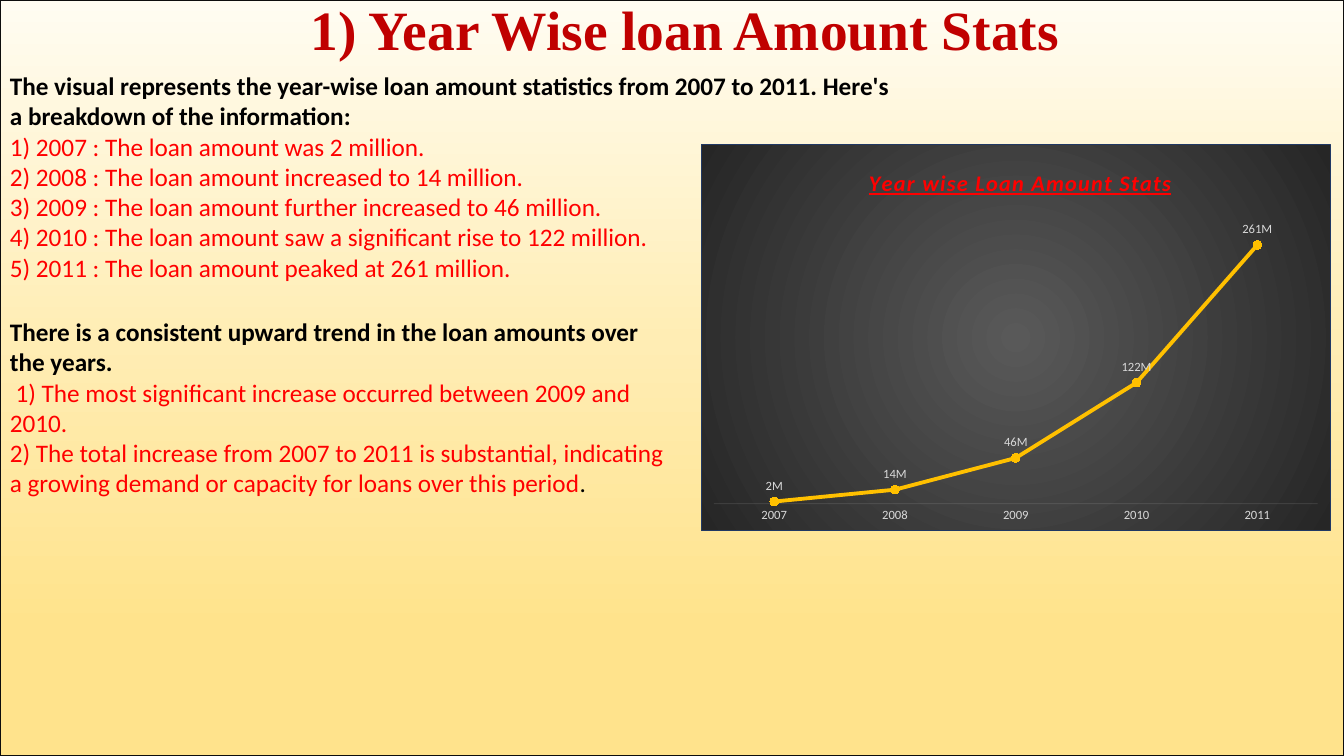
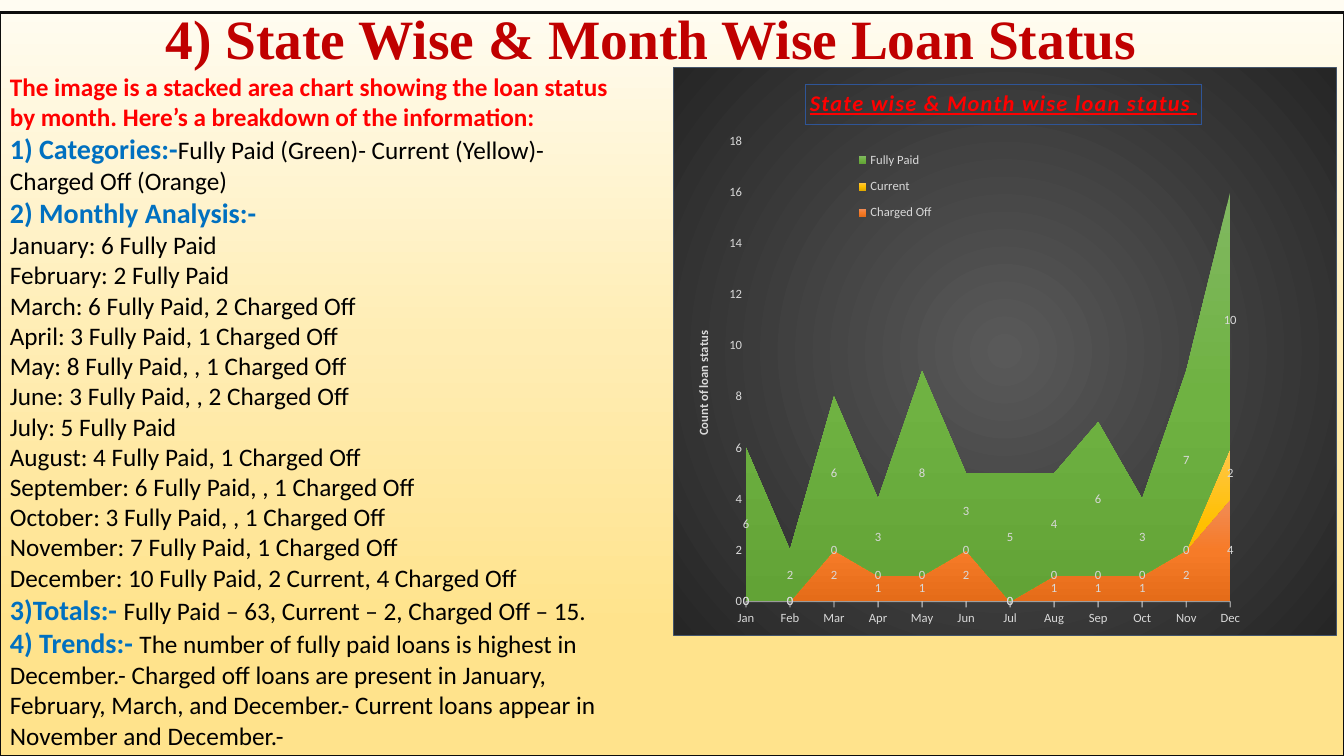
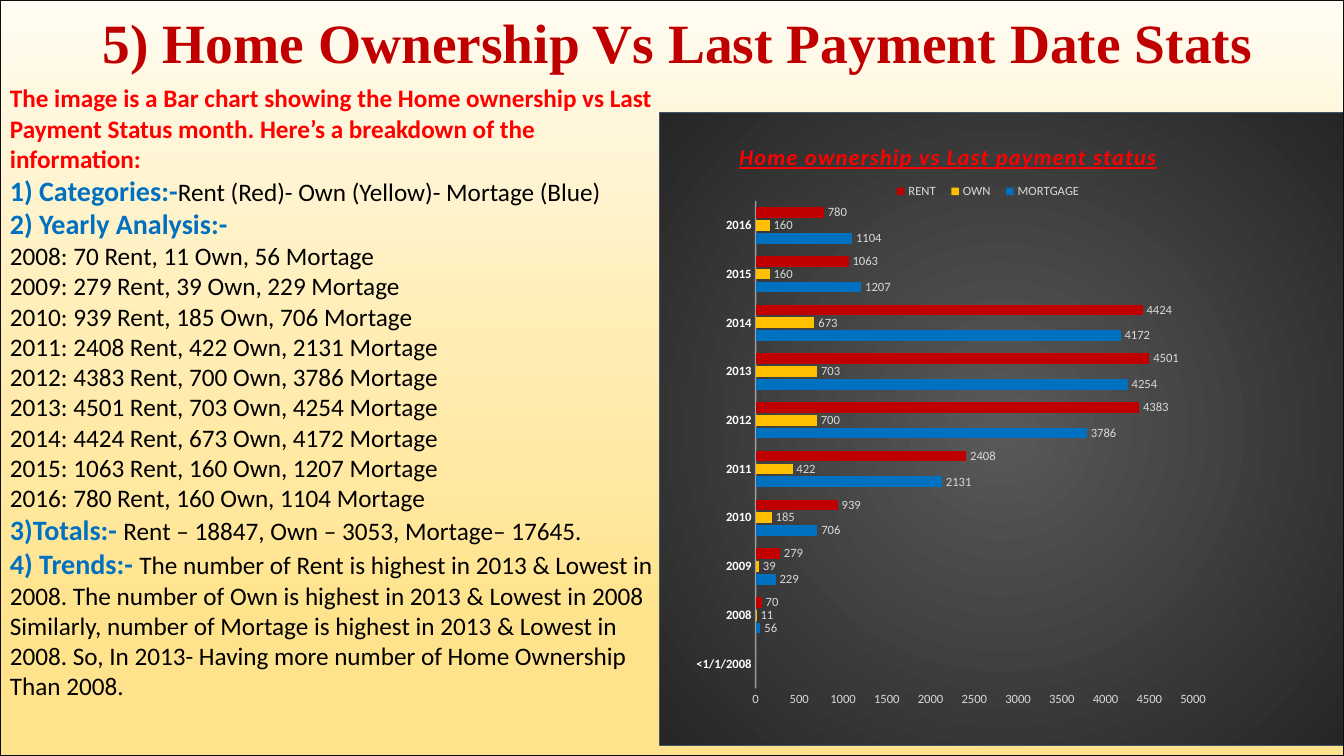
from lxml import etree
from pptx import Presentation
from pptx.chart.data import CategoryChartData
from pptx.dml.color import RGBColor
from pptx.enum import chart as kinds, shapes, text
from pptx.oxml import ns, parse_xml
from pptx.util import Inches, Pt

COLORS = {
    "title": "C00000", "red": "FF0000", "blue": "0070C0", "black": "000000",
    "frame": "0D0D0D", "pale": "D9D9D9", "white": "FFFFFF", "axis": "F2F2F2",
    "gold": "FFC000", "navy": "203864", "slate": "44546A", "outline": "2F5597",
}
BACKGROUND = [(0, "FFFCF2"), (45, "FFEDB4"), (83, "FFE38C"), (100, "FFE38C")]
CHART_FILL = [(0, "595959"), (100, "262626")]
ORANGE = [(0, "F18C57"), (50, "F67B28"), (100, "E56C19")]
YELLOW = [(0, "FFC64B"), (50, "FFC000"), (100, "E3AB00")]
GREEN = [(0, "81B861"), (50, "6FB242"), (100, "62A336")]
STYLES = {
    "lead": (18, "black", True),
    "alert": (18, "red", True),
    "item": (18, "red", False),
    "heading": (20, "blue", True),
    "body": (18, "black", False),
}
MILLIONS = '#,##0,,"M"'


def rgb(name):
    return RGBColor.from_string(COLORS[name])


def gradient(stops, circle=False):
    marks = "".join(
        f'<a:gs pos="{pos * 1000}"><a:srgbClr val="{color}"/></a:gs>' for pos, color in stops)
    shade = ('<a:path path="circle"><a:fillToRect l="50000" t="50000" r="50000" b="50000"/></a:path>'
             if circle else '<a:lin ang="5400000" scaled="0"/>')
    return parse_xml(
        f'<a:gradFill {ns.nsdecls("a")} rotWithShape="1"><a:gsLst>{marks}</a:gsLst>{shade}</a:gradFill>')


def swap_solid(parent, stops):
    solid = parent.find(".//" + ns.qn("a:solidFill"))
    solid.getparent().replace(solid, gradient(stops))


def place(element, after, x, y, w=None, h=None, inner=False):
    for old in element.findall(ns.qn("c:layout")):
        element.remove(old)
    layout = etree.Element(ns.qn("c:layout"))
    manual = etree.SubElement(layout, ns.qn("c:manualLayout"))
    values = [("layoutTarget", "inner")] if inner else []
    values += [("xMode", "edge"), ("yMode", "edge"), ("x", x), ("y", y)]
    if w is not None:
        values += [("w", w), ("h", h)]
    for tag, value in values:
        etree.SubElement(manual, ns.qn("c:" + tag)).set("val", str(value))
    if after:
        element.find(ns.qn(after)).addnext(layout)
    else:
        element.insert(0, layout)


class Deck:
    def __init__(self):
        self.deck = Presentation()
        self.deck.slide_width, self.deck.slide_height = Inches(13.33), Inches(7.5)
        master = self.deck.slide_master
        master.background.fill.solid()
        master.background.fill.fore_color.rgb = rgb("white")
        swap_solid(master.background._cSld.find(ns.qn("p:bg")), BACKGROUND)
        self.page = None

    def style(self, font, size, color, bold=False, name="Calibri"):
        font.size, font.bold, font.name = Pt(size), bold, name
        font.color.rgb = rgb(color)

    def span(self, para, words, *style):
        run = para.add_run()
        run.text = words
        self.style(run.font, *style)
        return run

    def title(self, words, left, width, height, align=text.PP_ALIGN.LEFT):
        self.page = self.deck.slides.add_slide(self.deck.slide_layouts[5])
        box = self.page.shapes.title
        box.left, box.top = Inches(left), Inches(0)
        box.width, box.height = Inches(width), Inches(height)
        frame = box.text_frame
        frame.auto_size = text.MSO_AUTO_SIZE.NONE
        frame.vertical_anchor = text.MSO_ANCHOR.MIDDLE
        para = frame.paragraphs[0]
        para.alignment, para.line_spacing = align, 0.9
        self.span(para, words, 39.6, "title", True, "Times New Roman")

    def copy(self, top, width, height, paragraphs):
        box = self.page.shapes.add_textbox(Inches(0), Inches(top), Inches(width), Inches(height))
        frame = box.text_frame
        frame.word_wrap = True
        for index, spans in enumerate(paragraphs):
            para = frame.add_paragraph() if index else frame.paragraphs[0]
            for style, words in spans:
                self.span(para, words, *STYLES[style])

    def frame(self, top=0):
        box = self.page.shapes.add_shape(
            shapes.MSO_SHAPE.RECTANGLE, Inches(0), Inches(top), Inches(13.33), Inches(7.5 - top))
        box.shadow.inherit = False
        box.fill.background()
        box.line.color.rgb, box.line.width = rgb("frame"), Pt(2)

    def chart(self, kind, bounds, categories, series, title, title_at, plot, border):
        data = CategoryChartData()
        data.categories = categories
        for name, values in series:
            data.add_series(name, values)
        chart = self.page.shapes.add_chart(kind, *map(Inches, bounds), data).chart
        self.style(chart.font, 10, "black")
        chart.has_legend = False
        chart.has_title = True
        para = chart.chart_title.text_frame.paragraphs[0]
        run = self.span(para, title, 16, "red", True)
        run.font.italic = run.font.underline = True
        run.font._rPr.set("spc", "100")
        place(chart.chart_title._element, "c:tx", *title_at)
        space = chart._chartSpace
        place(space.chart.plotArea, None, *plot, inner=True)
        panel = parse_xml(
            f'<c:spPr {ns.nsdecls("c", "a")}><a:ln w="9525"><a:solidFill>'
            f'<a:srgbClr val="{COLORS[border]}"/></a:solidFill></a:ln></c:spPr>')
        panel.insert(0, gradient(CHART_FILL, circle=True))
        space.chart.addnext(panel)
        chart.plots[0].vary_by_categories = False
        return chart

    def axes(self, chart, width, opacity, tick=kinds.XL_TICK_MARK.NONE, color="pale", bold=False):
        across, up = chart.category_axis, chart.value_axis
        for axis in (across, up):
            axis.has_major_gridlines = axis.has_minor_gridlines = False
            axis.major_tick_mark = axis.minor_tick_mark = kinds.XL_TICK_MARK.NONE
            self.style(axis.tick_labels.font, 9, "pale")
        self.style(across.tick_labels.font, 9, color, bold)
        across.major_tick_mark = tick
        line = across.format.line
        line.color.rgb, line.width = rgb("axis"), Pt(width)
        tint = across._element.find(ns.qn("c:spPr")).find(".//" + ns.qn("a:srgbClr"))
        etree.SubElement(tint, ns.qn("a:alpha")).set("val", str(opacity * 1000))
        up.format.line.fill.background()

    def labels(self, series, position=None, number_format=None):
        labels = series.data_labels
        labels.show_value = True
        self.style(labels.font, 9, "pale")
        if position is not None:
            labels.position = position
        if number_format:
            labels.number_format, labels.number_format_is_linked = number_format, False

    def legend(self, chart, *layout):
        chart.has_legend = True
        legend = chart.legend
        legend.position = kinds.XL_LEGEND_POSITION.RIGHT
        legend.include_in_layout = False
        self.style(legend.font, 9, "pale")
        place(legend._element, "c:legendPos", *layout)


def yearly_page(deck):
    deck.title("1) Year Wise loan Amount Stats", 2.08, 9.43, 0.65, text.PP_ALIGN.CENTER)
    deck.copy(0.65, 9.09, 2.22, [
        [("lead", "The visual represents the year-wise loan amount statistics from 2007 to 2011. "
                  "Here's a breakdown of the information:")],
        [("item", "1) 2007 : The loan amount was 2 million.")],
        [("item", "2) 2008 : The loan amount increased to 14 million.")],
        [("item", "3) 2009 : The loan amount further increased to 46 million.")],
        [("item", "4) 2010 : The loan amount saw a significant rise to 122 million.")],
        [("item", "5) 2011 : The loan amount peaked at 261 million.")],
    ])
    deck.copy(3.09, 6.7, 1.92, [
        [("lead", "There is a consistent upward trend in the loan amounts over the years.")],
        [("body", " "),
         ("item", "1) The most significant increase occurred between 2009 and 2010.")],
        [("item", "2) The total increase from 2007 to 2011 is substantial, indicating a growing "
                  "demand or capacity for loans over this period"), ("body", ".")],
    ])
    amounts = [millions * 1_000_000 for millions in (2, 14, 46, 122, 261)]
    chart = deck.chart(
        kinds.XL_CHART_TYPE.LINE_MARKERS, (6.95, 1.43, 6.25, 3.84),
        [str(year) for year in range(2007, 2012)], [("Series 1", amounts)],
        "Year wise Loan Amount Stats", (0.26, 0.05), (0.02, 0.16, 0.96, 0.77), "navy")
    deck.axes(chart, 0.75, 10)
    chart.value_axis.visible = False
    chart.value_axis.minimum_scale, chart.value_axis.maximum_scale = 0, 300_000_000
    loans = chart.plots[0].series[0]
    loans.smooth = False
    loans.format.line.color.rgb, loans.format.line.width = rgb("gold"), Pt(2.75)
    marker = loans.marker
    marker.style, marker.size = kinds.XL_MARKER_STYLE.CIRCLE, 6
    marker.format.fill.solid()
    marker.format.fill.fore_color.rgb = rgb("gold")
    marker.format.line.color.rgb = rgb("gold")
    deck.labels(loans, kinds.XL_LABEL_POSITION.ABOVE, MILLIONS)
    deck.frame()


def monthly_page(deck):
    deck.title("4) State Wise & Month Wise Loan Status", 1.54, 10.18, 0.83)
    months = [
        "January: 6 Fully Paid", "February: 2 Fully Paid",
        "March: 6 Fully Paid, 2 Charged Off", "April: 3 Fully Paid, 1 Charged Off",
        "May: 8 Fully Paid, , 1 Charged Off", "June: 3 Fully Paid, , 2 Charged Off",
        "July: 5 Fully Paid", "August: 4 Fully Paid, 1 Charged Off",
        "September: 6 Fully Paid, , 1 Charged Off", "October: 3 Fully Paid, , 1 Charged Off",
        "November: 7 Fully Paid, 1 Charged Off",
        "December: 10 Fully Paid, 2 Current, 4 Charged Off",
    ]
    deck.copy(0.66, 6.15, 6.9, [
        [("alert", "The image is a stacked area chart showing the loan status by month. "
                   "Here’s a breakdown of the information:")],
        [("heading", "1) Categories:-"),
         ("body", "Fully Paid (Green)- Current (Yellow)- Charged Off (Orange)")],
        [("heading", "2) Monthly Analysis:-")],
        *[[("body", month)] for month in months],
        [("heading", "3)Totals:- "),
         ("body", "Fully Paid – 63, Current – 2, Charged Off – 15.")],
        [("heading", "4) Trends:- "),
         ("body", "The number of fully paid loans is highest in December.- Charged off loans are "
                  "present in January, February, March, and December.- Current loans appear in "
                  "November and December.-")],
    ])
    chart = deck.chart(
        kinds.XL_CHART_TYPE.AREA_STACKED, (6.67, 0.66, 6.59, 5.65),
        [month[:3] for month in months],
        [("Charged Off", [None, None, 2, 1, 1, 2, None, 1, 1, 1, 2, 4]),
         ("Current", [None] * 11 + [2]),
         ("Fully Paid", [6, 2, 6, 3, 8, 3, 5, 4, 6, 3, 7, 10])],
        "State wise & Month wise loan status ", (0.2, 0.03), (0.11, 0.13, 0.73, 0.81), "slate")
    chart.chart_title.format.line.color.rgb = rgb("outline")
    deck.axes(chart, 1, 54, kinds.XL_TICK_MARK.OUTSIDE)
    axis = chart.value_axis
    axis.minimum_scale, axis.maximum_scale, axis.major_unit = 0, 18, 2
    axis.has_title = True
    frame = axis.axis_title.text_frame
    frame._txBody.bodyPr.set("rot", "-5400000")
    frame._txBody.bodyPr.set("vert", "horz")
    deck.span(frame.paragraphs[0], "Count of loan status", 9, "pale", True)
    place(axis.axis_title._element, "c:tx", 0.03, 0.46)
    for tag, value in (("c:dispBlanksAs", "zero"), ("c:crossBetween", "midCat")):
        for setting in chart._chartSpace.iter(ns.qn(tag)):
            setting.set("val", value)
    for series, stops in zip(chart.plots[0].series, (ORANGE, YELLOW, GREEN)):
        series.format.fill.solid()
        series.format.fill.fore_color.rgb = rgb("white")
        swap_solid(series._element.find(ns.qn("c:spPr")), stops)
        deck.labels(series)
    deck.legend(chart, 0.27, 0.13, 0.13, 0.16)
    deck.frame(0.12)


def ownership_page(deck):
    deck.title("5) Home Ownership Vs Last Payment Date Stats", 0.92, 11.96, 0.91)
    years = range(2008, 2017)
    rent = [70, 279, 939, 2408, 4383, 4501, 4424, 1063, 780]
    own = [11, 39, 185, 422, 700, 703, 673, 160, 160]
    mortgage = [56, 229, 706, 2131, 3786, 4254, 4172, 1207, 1104]
    deck.copy(0.77, 6.67, 6.29, [
        [("alert", "The image is a Bar chart showing the Home ownership vs Last Payment Status "
                   "month. Here’s a breakdown of the information:")],
        [("heading", "1) Categories:-"), ("body", "Rent (Red)- Own (Yellow)- Mortage (Blue)")],
        [("heading", "2) Yearly Analysis:-")],
        *[[("body", f"{year}: {rented} Rent, {owned} Own, {mortgaged} Mortage")]
          for year, rented, owned, mortgaged in zip(years, rent, own, mortgage)],
        [("heading", "3)Totals:- "), ("body", "Rent – 18847, Own – 3053, Mortage– 17645.")],
        [("heading", "4) Trends:- "),
         ("body", "The number of Rent is highest in 2013 & Lowest in 2008. The number of Own is "
                  "highest in 2013 & Lowest in 2008 Similarly, number of Mortage is highest in "
                  "2013 & Lowest in 2008. So, In 2013- Having more number of Home Ownership "
                  "Than 2008.")],
    ])
    chart = deck.chart(
        kinds.XL_CHART_TYPE.BAR_CLUSTERED, (6.54, 1.11, 6.79, 6.29),
        ["<1/1/2008", *map(str, years)],
        [("MORTGAGE", [None, *mortgage]), ("OWN", [None, *own]), ("RENT", [None, *rent])],
        "Home ownership vs Last payment status", (0.11, 0.04), (0.14, 0.14, 0.64, 0.77), "slate")
    deck.axes(chart, 1, 54, color="white", bold=True)
    axis = chart.value_axis
    axis.minimum_scale, axis.maximum_scale, axis.major_unit = 0, 5000, 500
    plot = chart.plots[0]
    plot.gap_width, plot.overlap = 115, -20
    for series, color in zip(plot.series, ("blue", "gold", "title")):
        series.format.fill.solid()
        series.format.fill.fore_color.rgb = rgb(color)
        deck.labels(series, kinds.XL_LABEL_POSITION.OUTSIDE_END)
    deck.legend(chart, 0.33, 0.11, 0.3, 0.03)
    deck.frame()


def main():
    deck = Deck()
    for build in (yearly_page, monthly_page, ownership_page):
        build(deck)
    deck.deck.save("out.pptx")


if __name__ == "__main__":
    main()
